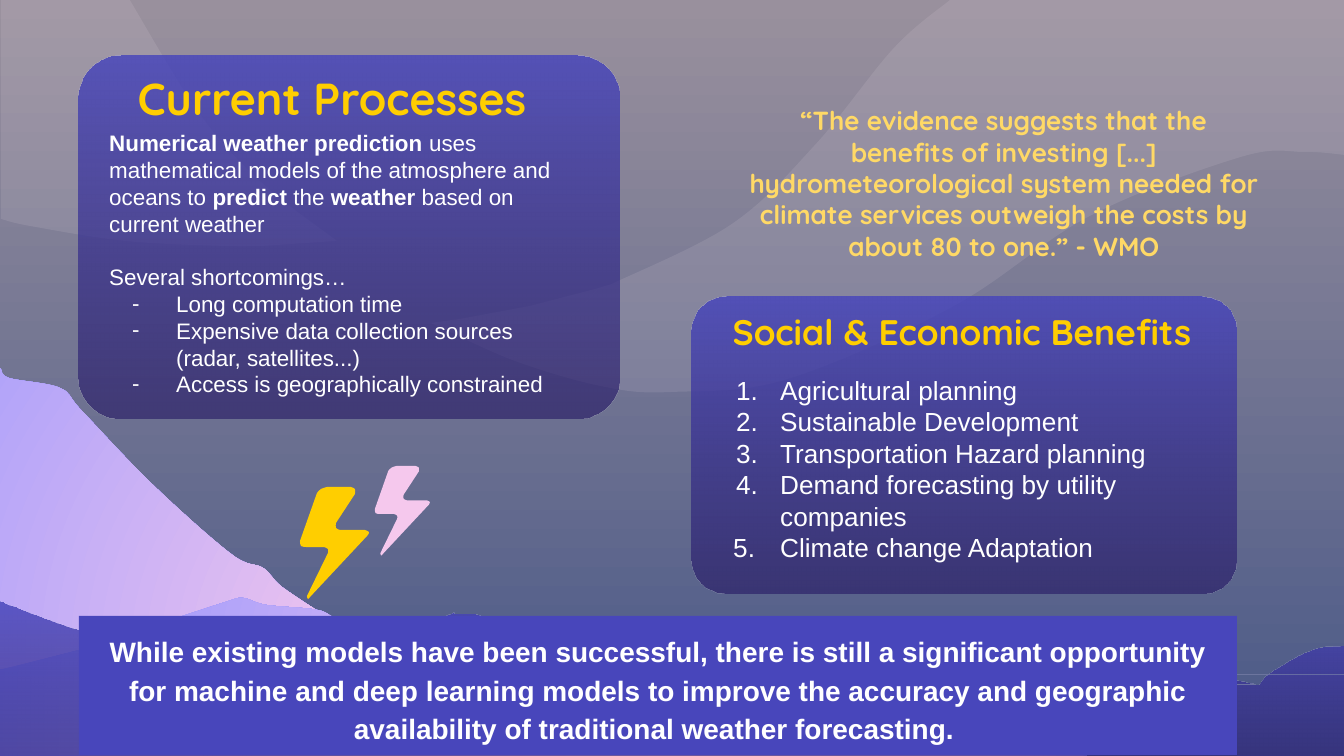
import pptx
import pptx.dml.color
import pptx.enum.shapes
import pptx.enum.text
import pptx.util
from lxml import etree
from pptx.oxml.ns import qn

SCALE = 914400 / 134.4
WHITE, GOLD, SAND, PINK, LILAC = "FFFFFF", "FFCE00", "FFD966", "F5C8ED", "9393FF"
INDIGO, NIGHT, MIST = "4846BB", "281B66", "FDF0F7"

MOUNTAIN = [
    [(-257, 527), (-129, 454), (-105, 429), (-79, 409), (-30, 370), (-13, 361),
     (0, 368), (9, 378), (60, 388), (82, 411), (152, 484), (231, 554), (263, 568),
     (282, 587), (327, 617), (351, 632), (555, 724), (723, 738), (1087, 743)],
    [(1087, 956), (-257, 956)]]
FOOTHILL = [
    [(0, 667), (12, 667), (128, 637), (152, 626), (177, 618), (226, 602),
     (243, 598), (266, 605), (317, 610), (339, 620), (407, 649), (488, 679),
     (582, 704), (812, 750), (980, 755), (1344, 758)],
    [(1344, 845), (0, 845)]]
FOREGROUND = [
    [(0, 602), (85, 632), (142, 636), (188, 652), (221, 645), (234, 648),
     (290, 672), (343, 672), (376, 650), (445, 617), (456, 614), (482, 617),
     (516, 638), (555, 685), (633, 704), (777, 689), (872, 700), (941, 675),
     (988, 685), (1060, 668), (1114, 685), (1180, 672), (1257, 685)],
    [(1258, 685), (1270, 673), (1312, 650), (1345, 646)],
    [(1345, 798), (0, 798)]]
WAVE = [
    [(1345, 155), (1304, 152), (1241, 157), (1090, 216), (954, 306), (788, 379),
     (673, 392), (605, 387), (515, 361), (431, 323)],
    [(460, 319), (513, 333), (565, 320), (599, 288)],
    [(612, 284), (732, 224), (816, 144), (894, 48), (950, 0)],
    [(1345, 0)]]
WAVE_OVERLAP = [[(599, 288), (565, 320), (513, 333), (460, 319)], [(530, 306)]]
CLOUD = [
    [(128, -3), (199, 113), (262, 183), (337, 241)],
    [(262, 246), (224, 246), (125, 241), (30, 226), (1, 219)],
    [(1, -3)]]
BOLT = [
    [(28, 0), (22, 2), (18, 6)], [(1, 54), (2, 59), (7, 60)],
    [(25, 60), (29, 62), (29, 66)], [(8, 109), (9, 112), (12, 109)],
    [(69, 48), (70, 45), (66, 43)], [(41, 43), (37, 41), (37, 36)],
    [(56, 7), (56, 2), (52, 0)]]


def px(length):
    return pptx.util.Emu(round(length * SCALE))


def color(value):
    return pptx.dml.color.RGBColor.from_string(value)


def find_handles(strand):
    padded = [strand[0], *strand, strand[-1]]
    for a, b, c, d in zip(padded, padded[1:], padded[2:], padded[3:]):
        yield ([q + (r - p) / 6 for p, q, r in zip(a, b, c)],
               [r - (s - q) / 6 for q, r, s in zip(b, c, d)])


def round_strands(shape, strands, scale):
    edges = iter(shape._element.xpath(".//a:path/a:lnTo"))
    for index, strand in enumerate(strands):
        if index:
            next(edges)
        for handles in find_handles(strand):
            edge = next(edges)
            if len(strand) < 3:
                continue
            edge.tag = qn("a:cubicBezTo")
            for position, (x, y) in enumerate(handles):
                point = etree.Element(qn("a:pt"), x=str(scale(x, 0)), y=str(scale(y, 1)))
                edge.insert(position, point)


def set_alpha(shape, percents):
    for element, percent in zip(shape._element.xpath("./p:spPr//a:srgbClr"), percents):
        etree.SubElement(element, qn("a:alpha"), val=str(percent * 1000))


def fill_gradient(fill, start, end):
    fill.gradient()
    fill.gradient_angle = 270
    for stop, value in zip(fill.gradient_stops, (start, end)):
        stop.color.rgb = color(value)


def fill_glow(shape):
    fill_gradient(shape.fill, PINK, LILAC)
    linear = shape._element.xpath("./p:spPr/a:gradFill/a:lin")[0]
    glow = etree.Element(qn("a:path"), path="circle")
    etree.SubElement(glow, qn("a:fillToRect"), l="50000", t="50000", r="50000", b="50000")
    linear.getparent().replace(linear, glow)


def fill_dusk(shape):
    fill_gradient(shape.fill, INDIGO, NIGHT)
    set_alpha(shape, (84, 63))


def fill_solid(shape, value):
    shape.fill.solid()
    shape.fill.fore_color.rgb = color(value)


def add_outline(page, strands, left=0, top=0, size=1):
    points = [(px(left + x * size), px(top + y * size))
              for strand in strands for x, y in strand]
    builder = page.shapes.build_freeform(*points[0], scale=1.0)
    builder.add_line_segments(points[1:], close=True)
    shape = builder.convert_to_shape()
    offsets = (left, top)
    corner = (shape.left, shape.top)
    round_strands(shape, strands,
                  lambda value, axis: px(offsets[axis] + value * size) - corner[axis])
    shape.shadow.inherit = False
    shape.line.fill.background()
    return shape


def add_panel(page, kind, *place):
    panel = page.shapes.add_shape(kind, *map(px, place))
    panel.shadow.inherit = False
    panel.line.fill.background()
    return panel


def add_card(page, *place):
    card = add_panel(page, pptx.enum.shapes.MSO_SHAPE.ROUNDED_RECTANGLE, *place)
    card.adjustments[0] = 0.117
    fill_dusk(card)


def prepare_frame(shape, anchor):
    frame = shape.text_frame
    frame.word_wrap = True
    frame.vertical_anchor = anchor
    frame.margin_top = frame.margin_bottom = frame.margin_left
    return frame


def add_text_box(page, place, anchor=pptx.enum.text.MSO_ANCHOR.TOP):
    box = page.shapes.add_textbox(*map(px, place))
    return prepare_frame(box, anchor)


def format_span(span, size, value=WHITE, name="Arial", bold=False):
    span.font.size = pptx.util.Pt(size)
    span.font.name = name
    span.font.bold = bold
    span.font.color.rgb = color(value)


def write_centered(frame, text, size, value, name):
    para = frame.paragraphs[0]
    para.text = text
    para.alignment = pptx.enum.text.PP_ALIGN.CENTER
    format_span(para.runs[0], size, value, name, True)
    return para


def add_heading(page, place, text, size, value=GOLD):
    frame = add_text_box(page, place, pptx.enum.text.MSO_ANCHOR.BOTTOM)
    write_centered(frame, text, size, value, "Quicksand")


def write_item(para, text, size, tag, hang=44, **marker):
    properties = para._p.get_or_add_pPr()
    properties.set("marL", str(px(67)))
    properties.set("indent", str(-px(hang)))
    tint = etree.SubElement(properties, qn("a:buClr"))
    etree.SubElement(tint, qn("a:srgbClr"), val=WHITE)
    etree.SubElement(properties, qn("a:buFont"), typeface="Arial")
    etree.SubElement(properties, qn(tag), **marker)
    para.text = text
    format_span(para.runs[0], size)


def add_processes(page):
    frame = add_text_box(page, (96, 116, 488, 277))
    para = frame.paragraphs[0]
    for text, bold in (("Numerical weather prediction", True),
                       (" uses mathematical models of the atmosphere and oceans to ", False),
                       ("predict", True), (" the ", False), ("weather", True),
                       (" based on current weather", False)):
        span = para.add_run()
        span.text = text
        format_span(span, 12, bold=bold)
    para = frame.add_paragraph()
    para.text = "Several shortcomings…"
    para.space_before = pptx.util.Pt(14)
    format_span(para.runs[0], 12)
    for text in ("Long computation time",
                 "Expensive data collection sources (radar, satellites...)",
                 "Access is geographically constrained"):
        write_item(frame.add_paragraph(), text, 12, "a:buChar", char="-")


def add_benefits(page):
    frame = add_text_box(page, (700, 361, 526, 164))
    benefits = (("Agricultural planning", 44), ("Sustainable Development", 44),
                ("Transportation Hazard planning", 44),
                ("Demand forecasting by utility companies", 44),
                ("Climate change Adaptation", 47))
    for index, (text, hang) in enumerate(benefits):
        para = frame.add_paragraph() if index else frame.paragraphs[0]
        write_item(para, text, 14, "a:buAutoNum", hang, type="arabicPeriod")


def add_conclusion(page):
    banner = add_panel(page, pptx.enum.shapes.MSO_SHAPE.RECTANGLE, 79, 616, 1158, 139)
    fill_solid(banner, INDIGO)
    frame = prepare_frame(banner, pptx.enum.text.MSO_ANCHOR.TOP)
    para = write_centered(
        frame, "While existing models have been successful, there is still a significant "
        "opportunity for machine and deep learning models to improve the accuracy and "
        "geographic availability of traditional weather forecasting. ", 15, WHITE, "Arial")
    para.line_spacing = 1.15


def add_landscape(page):
    fill_gradient(page.background.fill, "99909D", "495887")
    for strands in (MOUNTAIN, FOOTHILL):
        fill_glow(add_outline(page, strands))
    fill_dusk(add_outline(page, FOREGROUND))
    for strands in (WAVE, WAVE_OVERLAP, CLOUD):
        haze = add_outline(page, strands)
        fill_solid(haze, MIST)
        set_alpha(haze, (10,))


def main():
    deck = pptx.Presentation()
    deck.slide_width, deck.slide_height = px(1344), px(756)
    page = deck.slides.add_slide(deck.slide_layouts[6])
    add_landscape(page)
    add_card(page, 692, 297, 544, 297)
    add_benefits(page)
    add_heading(page, (663, 306, 598, 60), "Social & Economic Benefits", 19)
    add_card(page, 79, 56, 540, 363)
    add_processes(page)
    add_heading(page, (33, 56, 598, 82), "Current Processes", 24)
    fill_solid(add_outline(page, BOLT, 299, 487), GOLD)
    fill_solid(add_outline(page, BOLT, 374, 466, 0.8), PINK)
    add_heading(page, (734, 92, 540, 183),
                "“The evidence suggests that the benefits of investing [...] "
                "hydrometeorological system needed for climate services outweigh "
                "the costs by about 80 to one.” - WMO", 14, SAND)
    add_conclusion(page)
    deck.save("out.pptx")


if __name__ == "__main__":
    main()
